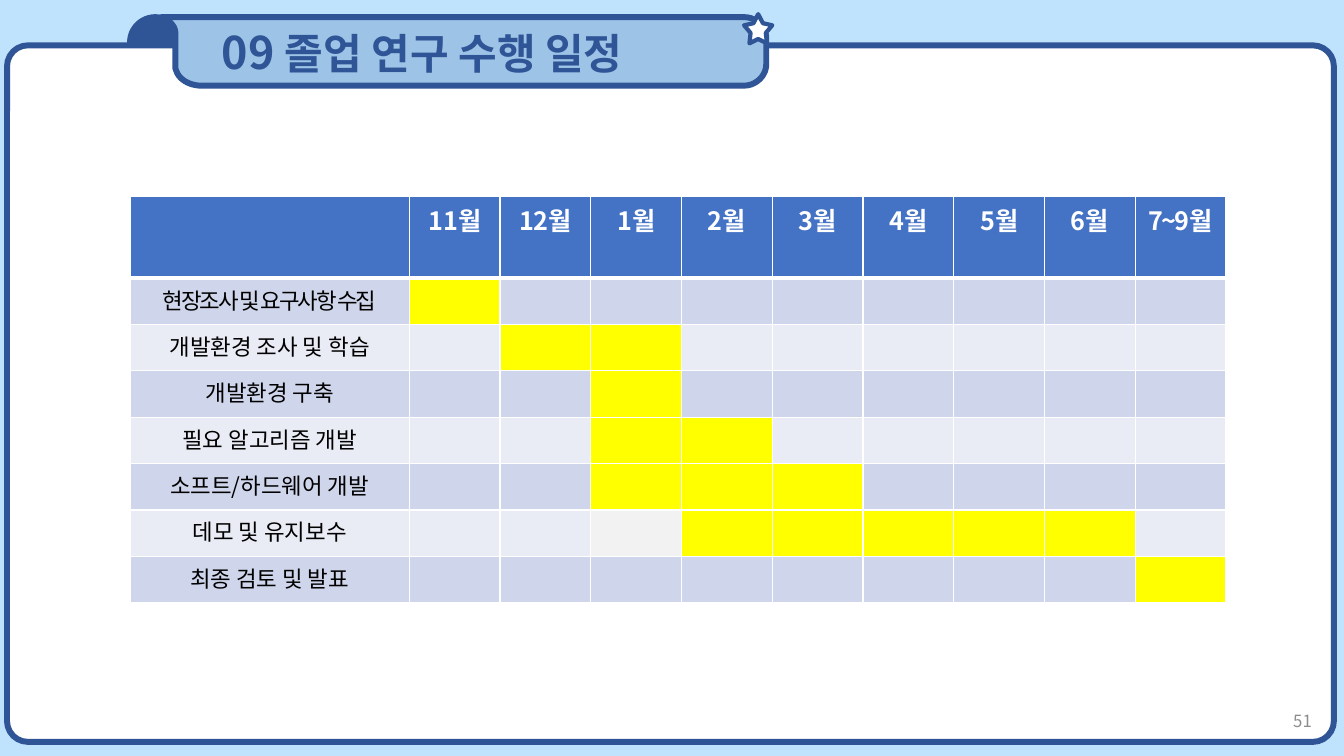
from dataclasses import dataclass
from lxml.etree import SubElement
from pptx import Presentation
from pptx.dml.color import RGBColor
from pptx.enum.shapes import MSO_SHAPE
from pptx.enum.text import MSO_ANCHOR, MSO_AUTO_SIZE, PP_ALIGN
from pptx.oxml.ns import qn
from pptx.util import Inches, Pt

TITLE_NUMBER, TITLE_TEXT = "09 ", "졸업 연구 수행 일정"
PAGE_NUMBER = "51"
MONTHS = ["11월", "12월", "1월", "2월", "3월", "4월", "5월", "6월", "7~9월"]
TASKS = [
    ("현장조사 및 요구사항 수집", "11월", "11월"),
    ("개발환경 조사 및 학습", "12월", "1월"),
    ("개발환경 구축", "1월", "1월"),
    ("필요 알고리즘 개발", "1월", "2월"),
    ("소프트/하드웨어 개발", "1월", "3월"),
    ("데모 및 유지보수", "2월", "6월"),
    ("최종 검토 및 발표", "7~9월", "7~9월"),
]
TIGHT_TEXTS = {"7~9월", "현장조사 및 요구사항 수집"}
GREY_CELL = ("데모 및 유지보수", "1월")

BANNER_START = (4.9, 0.17)
BANNER_PATH = [
    (7.38, 0.17),
    (7.5, 0.17, 7.6, 0.26, 7.6, 0.38),
    (7.6, 0.64),
    (7.6, 0.75, 7.5, 0.85, 7.38, 0.85),
    (2, 0.85),
    (1.89, 0.85, 1.8, 0.8, 1.76, 0.73),
    (1.74, 0.68),
    (1.74, 0.33),
    (1.74, 0.27, 1.7, 0.22, 1.64, 0.19),
    (1.6, 0.18),
    (1.6, 0.17),
]


@dataclass(frozen=True)
class Theme:
    font: str = "Noto Sans CJK KR"
    sky: str = "BFE3FD"
    navy: str = "2F5597"
    banner: str = "9DC3E6"
    white: str = "FFFFFF"
    black: str = "000000"
    page: str = "8C8C8C"
    header: str = "4472C4"
    bands: tuple = ("CFD5EA", "E9EBF5")
    active: str = "FFFF00"
    grey: str = "F2F2F2"
    number_size: float = 32
    title_size: float = 30
    header_size: float = 18
    label_size: float = 16
    page_size: float = 12
    outline: float = 4.25
    star_outline: float = 3
    tight_spacing: str = "-150"


THEME = Theme()


def color(value):
    return RGBColor.from_string(value)


def style_font(font, size, text_color, bold=False):
    font.name = THEME.font
    font.size = Pt(size)
    font.bold = bold
    font.color.rgb = color(text_color)
    SubElement(font._element, qn("a:ea"), typeface=THEME.font)


def style_shape(shape, fill, outline=THEME.outline):
    shape.shadow.inherit = False
    shape.fill.solid()
    shape.fill.fore_color.rgb = color(fill)
    shape.line.color.rgb = color(THEME.navy)
    shape.line.width = Pt(outline)


def add_preset(slide, kind, box, fill, adjustments, outline=THEME.outline):
    shape = slide.shapes.add_shape(kind, *map(Inches, box))
    for index, value in enumerate(adjustments):
        shape.adjustments[index] = value
    style_shape(shape, fill, outline)


def curve_points(start, curve, steps=10):
    controls = [start, curve[:2], curve[2:4], curve[4:]]
    for step in range(1, steps + 1):
        t = step / steps
        weights = ((1 - t) ** 3, 3 * t * (1 - t) ** 2, 3 * t**2 * (1 - t), t**3)
        yield tuple(sum(w * c[axis] for w, c in zip(weights, controls)) for axis in (0, 1))


def add_banner(slide):
    points = [BANNER_START]
    for segment in BANNER_PATH:
        if len(segment) == 2:
            points.append(segment)
        else:
            points.extend(curve_points(points[-1], segment))
    emu_points = [(Inches(x), Inches(y)) for x, y in points]
    builder = slide.shapes.build_freeform(*emu_points[0])
    builder.add_line_segments(emu_points[1:], close=True)
    style_shape(builder.convert_to_shape(), THEME.banner)


def place_title(slide):
    title = slide.shapes.title
    slide.shapes._spTree.append(title._element)
    title.left, title.top, title.width, title.height = map(Inches, (1.6, 0.17, 6, 0.68))
    frame = title.text_frame
    frame.auto_size = MSO_AUTO_SIZE.NONE
    frame.vertical_anchor = MSO_ANCHOR.MIDDLE
    frame.margin_left = Inches(0.6)
    paragraph = frame.paragraphs[0]
    paragraph.alignment = PP_ALIGN.LEFT
    for text, size in ((TITLE_NUMBER, THEME.number_size), (TITLE_TEXT, THEME.title_size)):
        run = paragraph.add_run()
        run.text = text
        style_font(run.font, size, THEME.navy, True)


def add_page_number(slide):
    box = slide.shapes.add_textbox(*map(Inches, (10.11, 6.95, 3, 0.4)))
    frame = box.text_frame
    frame.word_wrap = True
    frame.vertical_anchor = MSO_ANCHOR.MIDDLE
    paragraph = frame.paragraphs[0]
    paragraph.text = PAGE_NUMBER
    paragraph.alignment = PP_ALIGN.RIGHT
    style_font(paragraph.font, THEME.page_size, THEME.page)


def format_cell(cell, text, fill, size, text_color, bold, top, bottom):
    properties = cell._tc.get_or_add_tcPr()
    for side, width in (("L", 1), ("R", 1), ("T", top), ("B", bottom)):
        line = SubElement(properties, qn(f"a:ln{side}"), w=str(Pt(width)))
        solid = SubElement(line, qn("a:solidFill"))
        SubElement(solid, qn("a:srgbClr"), val=THEME.white)
    cell.fill.solid()
    cell.fill.fore_color.rgb = color(fill)
    paragraph = cell.text_frame.paragraphs[0]
    paragraph.text = text
    paragraph.alignment = PP_ALIGN.CENTER
    style_font(paragraph.font, size, text_color, bold)
    if text in TIGHT_TEXTS:
        paragraph.font._element.set("spc", THEME.tight_spacing)


def task_fill(task, column, band):
    name, first, last = task
    if column and MONTHS.index(first) < column <= MONTHS.index(last) + 1:
        return THEME.active
    if column and (name, MONTHS[column - 1]) == GREY_CELL:
        return THEME.grey
    return band


def add_schedule(slide):
    frame = slide.shapes.add_table(
        len(TASKS) + 1, len(MONTHS) + 1, *map(Inches, (1.29, 1.95, 10.84, 4.03))
    )
    table = frame.table
    for index, column in enumerate(table.columns):
        column.width = Inches(0.9 if index else 2.77)
    for index, row in enumerate(table.rows):
        row.height = Inches(0.46 if index else 0.81)
    for index, text in enumerate(["", *MONTHS]):
        format_cell(table.cell(0, index), text, THEME.header,
                    THEME.header_size, THEME.white, True, 1, 3)
    for row, task in enumerate(TASKS, 1):
        band = THEME.bands[(row - 1) % 2]
        for column in range(len(MONTHS) + 1):
            text = "" if column else task[0]
            size = THEME.header_size if column else THEME.label_size
            format_cell(table.cell(row, column), text, task_fill(task, column, band),
                        size, THEME.black, False, 3 if row == 1 else 1, 1)


def main():
    presentation = Presentation()
    presentation.slide_width, presentation.slide_height = Inches(13.33), Inches(7.5)
    slide = presentation.slides.add_slide(presentation.slide_layouts[5])
    slide.background.fill.solid()
    slide.background.fill.fore_color.rgb = color(THEME.sky)
    add_preset(slide, MSO_SHAPE.ROUND_2_SAME_RECTANGLE, (1.29, 0.17, 0.5, 0.98),
               THEME.navy, (0.5, 0))
    add_preset(slide, MSO_SHAPE.ROUNDED_RECTANGLE, (0.07, 0.45, 13.16, 6.91),
               THEME.white, (0.03,))
    add_banner(slide)
    place_title(slide)
    add_preset(slide, MSO_SHAPE.STAR_5_POINT, (7.38, 0.14, 0.28, 0.29),
               THEME.white, (0.27,), THEME.star_outline)
    add_page_number(slide)
    add_schedule(slide)
    presentation.save("out.pptx")


if __name__ == "__main__":
    main()
